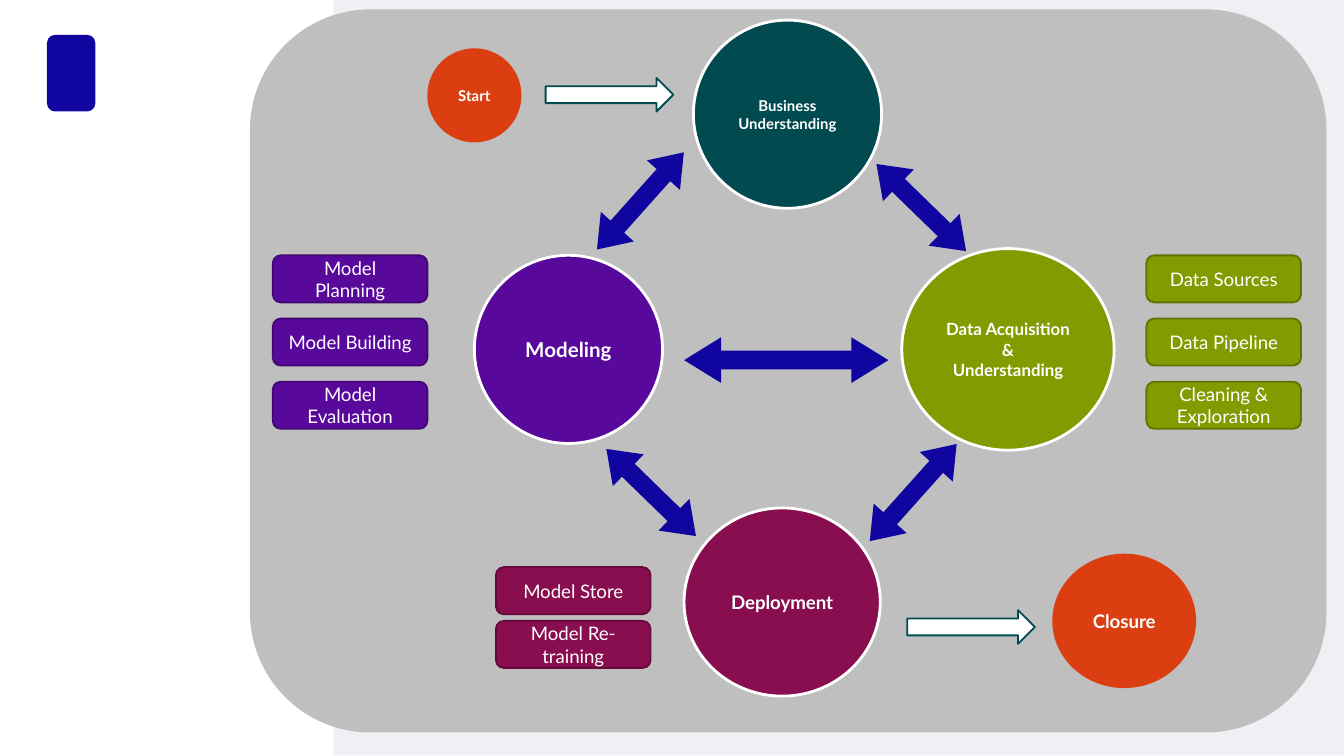
from dataclasses import dataclass
from typing import Optional

from pptx import Presentation
from pptx.dml.color import RGBColor
from pptx.enum.shapes import MSO_SHAPE as Preset
from pptx.enum.text import MSO_ANCHOR as Anchor, PP_ALIGN as Align
from pptx.util import Pt

PX = 9144  # EMU per px, 100 px to the inch
SLIDE_WIDTH = 1000

WHITE, PALE, GRAY = "FFFFFF", "EFEFF4", "BFBFBF"
BLUE, TEAL, ORANGE = "10069F", "004A50", "DB3F11"
PURPLE, GREEN, MAROON = "58099C", "819C00", "880E4F"

FRAME_FORMAT = {
    "word_wrap": True,
    "vertical_anchor": Anchor.MIDDLE,
    "margin_left": Pt(7),
    "margin_right": Pt(7),
}


@dataclass(frozen=True)
class Block:
    preset: Preset
    left: int
    top: int
    width: int
    height: int
    fill: str
    line: Optional[str] = None
    line_width: float = 1
    rotation: float = 0
    adjustments: tuple[float, ...] = ()
    text: str = ""
    size: int = 10
    bold: bool = False


@dataclass(frozen=True)
class StepGroup:
    """A column of boxes that details one stage of the cycle."""
    left: int
    top: int
    pitch: int
    fill: str
    line: str
    labels: tuple[str, ...]


def color(value: str) -> RGBColor:
    return RGBColor.from_string(value)


def write_text(shape, block: Block) -> None:
    frame = shape.text_frame
    for name, value in FRAME_FORMAT.items():
        setattr(frame, name, value)
    paragraph = frame.paragraphs[0]
    paragraph.alignment = Align.CENTER
    run = paragraph.add_run()
    run.text = block.text
    font_format = {"name": "Lato", "size": Pt(block.size), "bold": block.bold}
    for name, value in font_format.items():
        setattr(run.font, name, value)
    run.font.color.rgb = color(WHITE)


def draw_block(slide, block: Block) -> None:
    bounds = (block.left, block.top, block.width, block.height)
    shape = slide.shapes.add_shape(block.preset, *(length * PX for length in bounds))
    shape.shadow.inherit = False
    shape.rotation = block.rotation
    for index, value in enumerate(block.adjustments):
        shape.adjustments[index] = value
    shape.fill.solid()
    shape.fill.fore_color.rgb = color(block.fill)
    if block.line:
        shape.line.color.rgb = color(block.line)
        shape.line.width = Pt(block.line_width)
    else:
        shape.line.fill.background()
    if block.text:
        write_text(shape, block)


def stage(left: int, top: int, width: int, height: int, fill: str, text: str,
          size: int, line: Optional[str] = WHITE) -> Block:
    return Block(Preset.OVAL, left, top, width, height, fill, line, 1.5,
                 text=text, size=size, bold=True)


def two_way_arrow(left: int, top: int, width: int, height: int,
                  head: float, rotation: float = 0) -> Block:
    return Block(Preset.LEFT_RIGHT_ARROW, left, top, width, height, BLUE,
                 rotation=rotation, adjustments=(0.41, head))


def flow_arrow(left: int, top: int) -> Block:
    return Block(Preset.RIGHT_ARROW, left, top, 95, 25, WHITE, TEAL)


def draw_step_group(slide, group: StepGroup) -> None:
    for index, label in enumerate(group.labels):
        draw_block(slide, Block(
            Preset.ROUNDED_RECTANGLE, group.left, group.top + index * group.pitch,
            115, 35, group.fill, group.line, text=label))


BACKDROP = (
    Block(Preset.RECTANGLE, 248, 0, 752, 562, PALE),
    Block(Preset.ROUNDED_RECTANGLE, 35, 26, 36, 57, BLUE),
    Block(Preset.ROUNDED_RECTANGLE, 186, 7, 801, 538, GRAY),
)
STAGES = (
    stage(516, 15, 140, 140, TEAL, "Business Understanding", 8),
    stage(353, 190, 140, 140, PURPLE, "Modeling", 11),
    stage(671, 185, 158, 150, GREEN, "Data Acquisition & Understanding", 9),
    stage(509, 378, 146, 140, MAROON, "Deployment", 10),
    stage(318, 36, 70, 70, ORANGE, "Start", 8, None),
    stage(783, 412, 107, 100, ORANGE, "Closure", 10, None),
)
STEP_GROUPS = (
    StepGroup(203, 190, 47, PURPLE, "410773",
              ("Model Planning", "Model Building", "Model Evaluation")),
    StepGroup(853, 190, 47, GREEN, "5F7300",
              ("Data Sources", "Data Pipeline", "Cleaning & Exploration")),
    StepGroup(369, 422, 40, MAROON, "650A3A",
              ("Model Store", "Model Re-training")),
)
RISING, FALLING = 311.8, 44.2
CENTER_ARROW = two_way_arrow(509, 251, 152, 34, 0.81)
OUTER_ARROWS = (
    flow_arrow(406, 58),
    flow_arrow(675, 454),
    two_way_arrow(428, 133, 97, 33, 0.69, RISING),
    two_way_arrow(631, 350, 97, 33, 0.69, RISING),
    two_way_arrow(639, 138, 93, 33, 0.69, FALLING),
    two_way_arrow(438, 350, 93, 33, 0.69, FALLING),
)


def main() -> None:
    presentation = Presentation()
    presentation.slide_width = SLIDE_WIDTH * PX
    presentation.slide_height = SLIDE_WIDTH * PX * 9 // 16
    slide = presentation.slides.add_slide(presentation.slide_layouts[6])
    for block in (*BACKDROP, *STAGES, CENTER_ARROW):
        draw_block(slide, block)
    for group in STEP_GROUPS:
        draw_step_group(slide, group)
    for arrow in OUTER_ARROWS:
        draw_block(slide, arrow)
    presentation.save("out.pptx")


if __name__ == "__main__":
    main()
